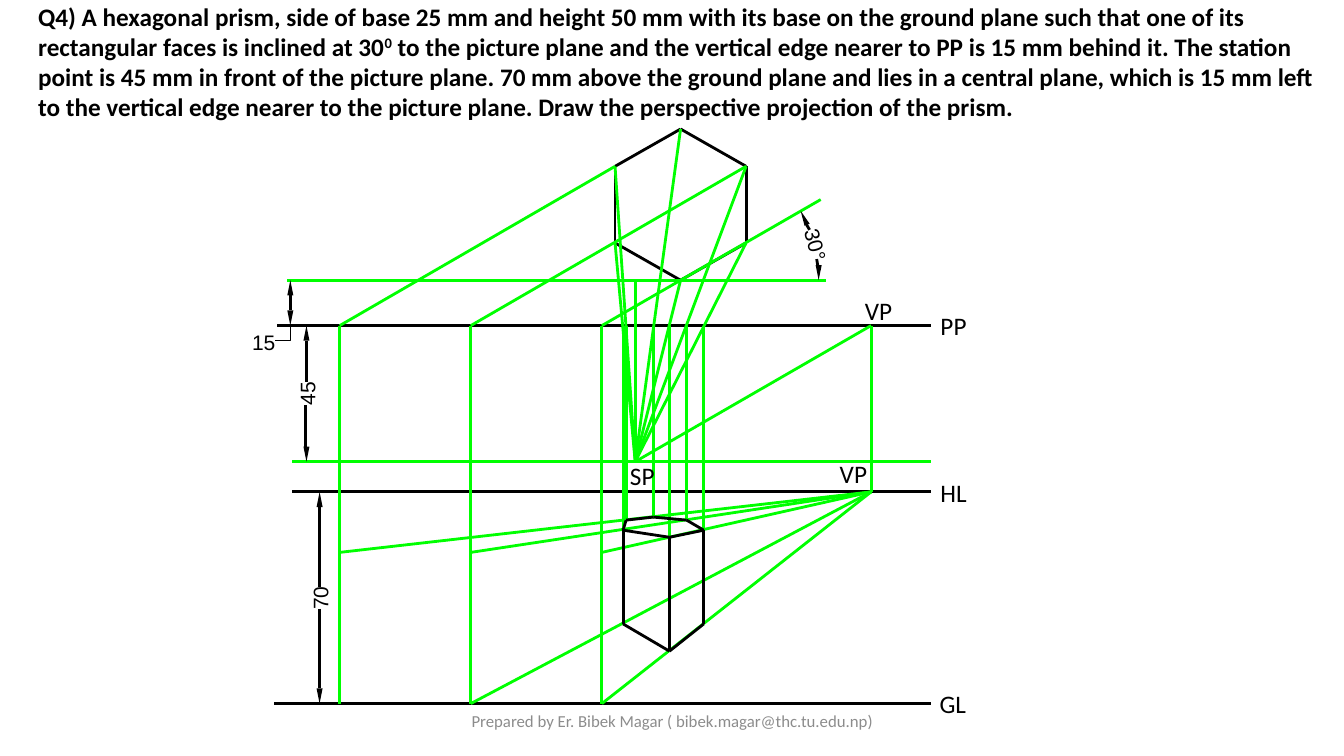
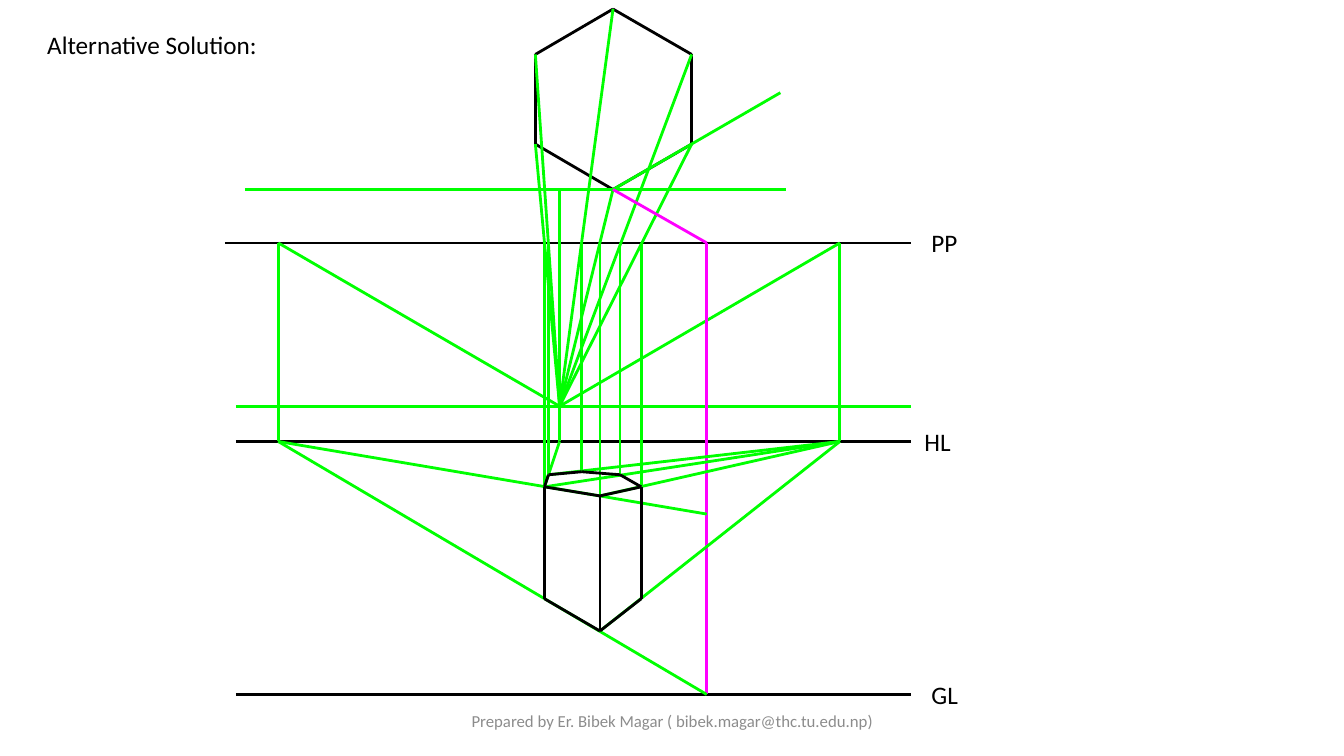
"""Build two slides showing the perspective projection of a hexagonal prism."""
from lxml import etree
from pptx import Presentation
from pptx import util as u
from pptx.dml.color import RGBColor
from pptx.enum import shapes, text
from pptx.oxml.ns import qn

BLACK, GREEN, MAGENTA, GREY = "000000", "00FF00", "FF00FF", "8C8C8C"


def write(page, content, left, top, width, height, size=18, font="Calibri", color=BLACK,
          bold=False, align=None, anchor=text.MSO_ANCHOR.TOP, turn=0, tight=False, grow=True):
    """Add a text box; odd parts between bars are superscript."""
    box = page.shapes.add_textbox(*map(u.Inches, (left, top, width, height)))
    box.rotation = turn
    frame = box.text_frame
    frame.word_wrap = not tight
    frame.vertical_anchor = anchor
    if grow:
        frame.auto_size = text.MSO_AUTO_SIZE.SHAPE_TO_FIT_TEXT
    if tight:
        frame.margin_left = frame.margin_right = frame.margin_top = frame.margin_bottom = 0
    para = frame.paragraphs[0]
    para.alignment = align
    for index, part in enumerate(content.split("|")):
        span = para.add_run()
        span.text = part
        span.font.size = u.Pt(size)
        span.font.name = font
        span.font.bold = bold
        span.font.color.rgb = RGBColor.from_string(color)
        if index % 2:
            span.font._element.set("baseline", "30000")


def draw(page, points, color=BLACK):
    """Join consecutive points with hairlines."""
    for start, end in zip(points, points[1:]):
        line = page.shapes.add_connector(
            shapes.MSO_CONNECTOR.STRAIGHT, *map(u.Inches, (*start, *end)))
        line.line.width = 0
        line.line.color.rgb = RGBColor.from_string(color)
        etree.SubElement(line._element.spPr, qn("a:effectLst"))


question = (
    "Q4) A hexagonal prism, side of base 25 mm and height 50 mm with its base on the ground plane "
    "such that one of its rectangular faces is inclined at 30|0| to the picture plane and the "
    "vertical edge nearer to PP is 15 mm behind it. The station point is 45 mm in front of the "
    "picture plane. 70 mm above the ground plane and lies in a central plane, which is 15 mm left "
    "to the vertical edge nearer to the picture plane. Draw the perspective projection of the prism.")

first = {
    "title": (question, 0.28, -0.04, 12.88, 1.31, True),
    "plan": [(6.75, 2.78), (6.1, 2.41), (6.1, 1.65), (6.75, 1.28), (7.4, 1.65), (7.4, 2.41)],
    "face_end": (8.14, 1.98),
    "levels": {"edge": (2.85, 8.19, 2.78), "PP": (2.75, 9.23, 3.23), "station": (2.9, 9.23, 4.58),
               "HL": (2.9, 9.23, 4.88), "GL": (2.72, 9.23, 6.98)},
    "station_x": 6.3,
    "vanishing_x": [8.64],
    "top": [(6.18, 5.26), (6.21, 5.16), (6.48, 5.13), (6.81, 5.16), (6.98, 5.26), (6.64, 5.33)],
    "base": [(6.18, 6.19), (6.64, 6.46), (6.98, 6.19)],
    "construction": [],
    "labels": [("PP", 9.23, 3.03, 0.47), ("HL", 9.23, 4.69, 0.47), ("GL", 9.22, 6.78, 0.47),
               ("VP", 8.48, 2.88, 0.47), ("SP", 6.15, 4.52, 0.64), ("VP", 8.23, 4.5, 0.51)],
}
for corner, trace_x, to_ground in ((0, 5.97, True), (4, 4.67, True), (2, 3.37, False)):
    first["construction"] += [
        (GREEN, [first["plan"][corner], (trace_x, 3.23), (trace_x, 6.98)]),
        (GREEN, [(trace_x, 5.48), (8.64, 4.88)] + [(trace_x, 6.98)] * to_ground)]

second = {
    "title": ("Alternative Solution:", 0.37, 0.24, 2.41, 0.41, False),
    "plan": [(6.08, 1.88), (5.31, 1.43), (5.31, 0.54), (6.08, 0.09), (6.86, 0.54), (6.86, 1.43)],
    "face_end": (7.74, 0.92),
    "levels": {"edge": (2.43, 7.8, 1.88), "PP": (2.23, 9.04, 2.41), "station": (2.34, 9.04, 4.03),
               "HL": (2.34, 9.04, 4.38), "GL": (2.34, 9.04, 6.89)},
    "station_x": 5.55,
    "vanishing_x": [8.33, 2.76],
    "top": [(5.4, 4.83), (5.44, 4.71), (5.77, 4.68), (6.15, 4.71), (6.36, 4.83), (5.95, 4.92)],
    "base": [(5.4, 5.94), (5.95, 6.26), (6.36, 5.94)],
    "construction": [
        (MAGENTA, [(6.08, 1.88), (7.01, 2.41), (7.01, 6.89)]),
        (GREEN, [(7.01, 5.1), (2.76, 4.38), (7.01, 6.89)]),
        (GREEN, [(5.55, 4.03), (5.55, 4.38), (5.4, 4.83)])],
    "labels": [("PP", 9.14, 2.21, 0.76), ("HL", 9.07, 4.18, 0.76), ("GL", 9.14, 6.69, 0.76)],
}

deck = Presentation()
deck.slide_width, deck.slide_height = u.Inches(13.33), u.Inches(7.5)

for view in (first, second):
    page = deck.slides.add_slide(deck.slide_layouts[6])
    write(page, "Prepared by Er. Bibek Magar ( bibek.magar@thc.tu.edu.np)", 4.42, 6.95, 4.5, 0.4,
          size=12, color=GREY, align=text.PP_ALIGN.CENTER, anchor=text.MSO_ANCHOR.MIDDLE, grow=False)
    *title, bold = view["title"]
    write(page, *title, bold=bold)

    plan, top, base, levels = view["plan"], view["top"], view["base"], view["levels"]
    draw(page, plan + plan[:1])
    draw(page, [plan[0], view["face_end"]], GREEN)
    for name, (left, right, height) in levels.items():
        draw(page, [(left, height), (right, height)],
             GREEN if name in ("edge", "station") else BLACK)

    picture_y, horizon_y = levels["PP"][2], levels["HL"][2]
    station = (view["station_x"], levels["station"][2])
    draw(page, [(station[0], levels["edge"][2]), station], GREEN)
    for vanishing_x in view["vanishing_x"]:
        draw(page, [station, (vanishing_x, picture_y), (vanishing_x, horizon_y)], GREEN)
    for corner in plan:
        draw(page, [corner, station], GREEN)
    for x, y in base + top[1:4]:
        draw(page, [(x, picture_y), (x, y)], GREEN)
    for color, points in view["construction"]:
        draw(page, points, color)
    if view is second:
        vanishing_point = (view["vanishing_x"][0], horizon_y)
        for corner in (base[1], top[5], top[0], top[1]):
            draw(page, [corner, vanishing_point], GREEN)

    draw(page, top + top[:1])
    draw(page, base)
    for upper, lower in zip((top[0], top[5], top[4]), base):
        draw(page, [upper, lower])
    for label, left, height, width in view["labels"]:
        write(page, label, left, height, width, 0.4)

page = deck.slides[0]
for dimension in ([(2.88, 2.93), (2.88, 3.08)], [(3.04, 3.38), (3.04, 3.79)],
                  [(3.03, 4.02), (3.03, 4.43)], [(3.17, 5.03), (3.17, 5.82)],
                  [(3.17, 6.04), (3.17, 6.83)], [(8.11, 2.63), (8.1, 2.57)],
                  [(8.03, 2.28), (8, 2.23)]):
    draw(page, dimension)

arrows = [[(x - 0.03, tail), (x + 0.03, tail), (x, tip)] for x, tail, tip in (
    (2.88, 2.93, 2.78), (2.88, 3.08, 3.23), (3.04, 3.38, 3.23), (3.04, 4.43, 4.58),
    (3.17, 5.03, 4.88), (3.17, 6.83, 6.98), (8.12, 2.63, 2.78))]
arrows.append([(7.98, 2.24), (8.03, 2.22), (7.94, 2.09)])
leader = [(2.88, 3.23), (2.88, 3.38), (2.73, 3.38)]
for outline in arrows + [leader]:
    points = [(u.Inches(x), u.Inches(y)) for x, y in outline]
    builder = page.shapes.build_freeform(*points[0])
    builder.add_line_segments(points[1:], close=outline is not leader)
    shape = builder.convert_to_shape()
    shape.shadow.inherit = False
    if outline is leader:
        shape.fill.background()
        shape.line.width = 0
        shape.line.color.rgb = RGBColor.from_string(BLACK)
    else:
        shape.fill.solid()
        shape.fill.fore_color.rgb = RGBColor.from_string(BLACK)
        shape.line.fill.background()

for value, left, height, width, turn in (("15", 2.5, 3.27, 0.34, 0), ("45", 2.9, 3.7, 0.34, 270),
                                         ("70", 3.03, 5.73, 0.34, 270), ("30°", 7.87, 2.34, 0.43, 75)):
    write(page, value, left, height, width, 0.3, size=15, font="Arial", turn=turn, tight=True)

deck.save("out.pptx")
